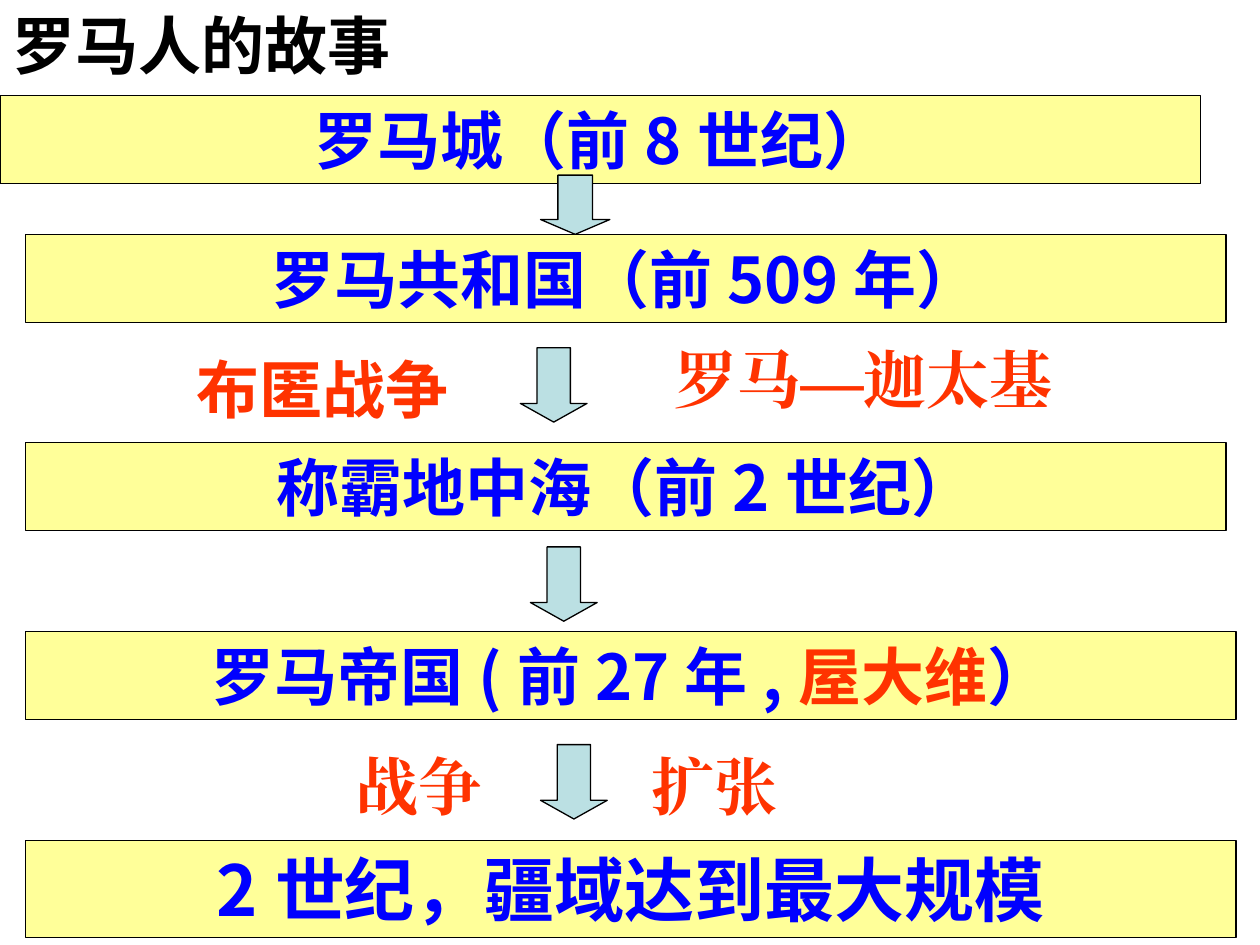
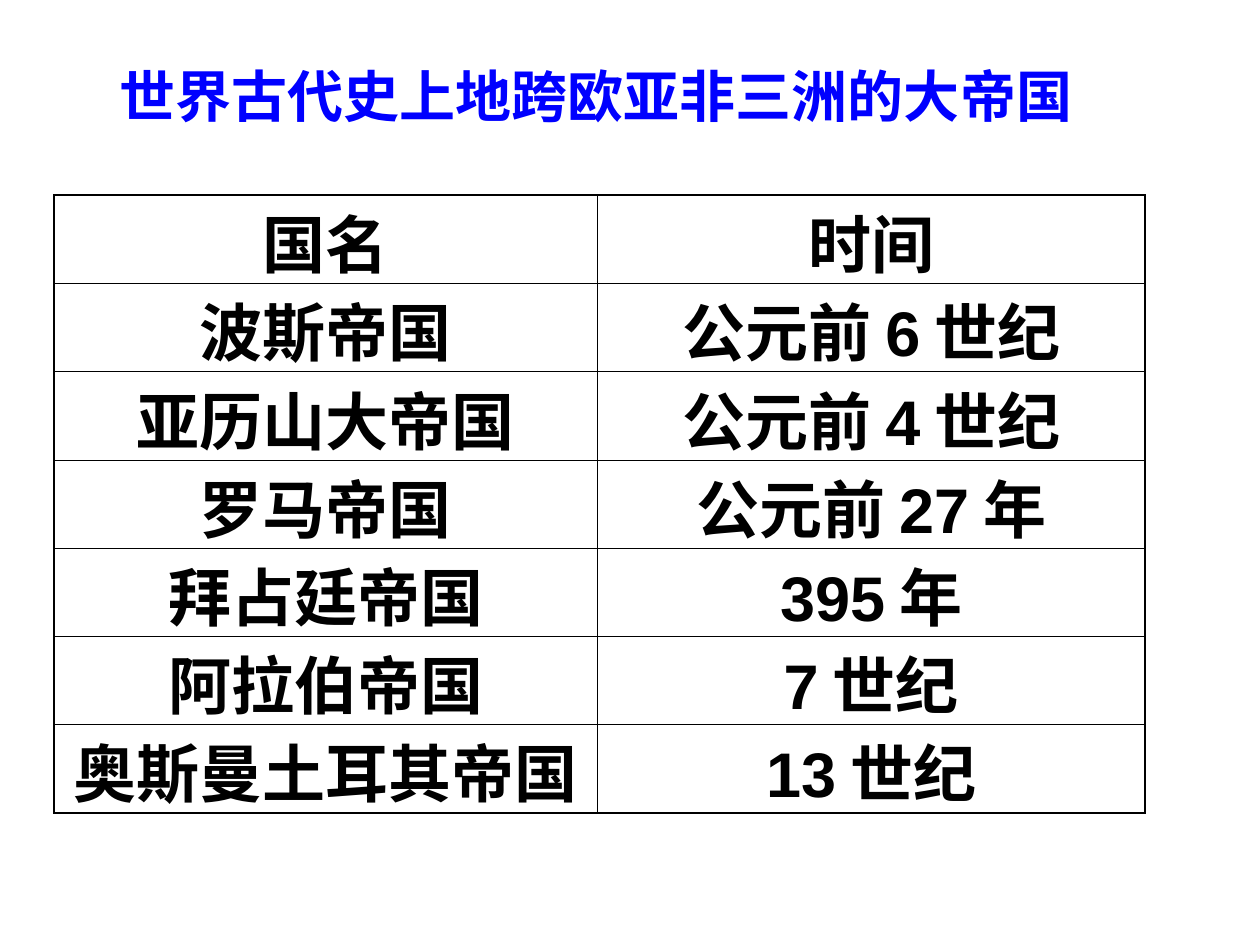
from lxml import etree
from pptx import Presentation
from pptx.dml.color import RGBColor
from pptx.enum.lang import MSO_LANGUAGE_ID as LANG
from pptx.enum.shapes import MSO_SHAPE as SHAPE
from pptx.enum.text import MSO_ANCHOR as ANCHOR, MSO_AUTO_SIZE as AUTO, PP_ALIGN as ALIGN
from pptx.oxml.ns import qn
from pptx.util import Inches, Pt

BLACK = RGBColor(0x00, 0x00, 0x00)
BLUE = RGBColor(0x00, 0x00, 0xFF)
RED = RGBColor(0xFF, 0x33, 0x00)
YELLOW = RGBColor(0xFF, 0xFF, 0x99)
PALE_TEAL = RGBColor(0xBB, 0xE0, 0xE3)
ARIAL, TIMES, NOTO = "Arial", "Times New Roman", "Noto Sans CJK SC"

COLUMNS, ROWS = 100, 75
THICK, THIN = 1.08, 0.45


class Deck:
    """Holds the shared style and the slide being built, on a 100 x 75 grid."""

    def __init__(self):
        self.prs = Presentation()
        self.prs.slide_width, self.prs.slide_height = Inches(10), Inches(7.5)
        self.slide = None

    def across(self, columns):
        return round(self.prs.slide_width * columns / COLUMNS)

    def down(self, rows):
        return round(self.prs.slide_height * rows / ROWS)

    def box(self, left, top, width, height):
        return self.across(left), self.down(top), self.across(width), self.down(height)

    def add_words(self, frame, parts, size, font, align=ALIGN.CENTER):
        """Fill a text frame with one paragraph of (text, colour) parts."""
        paragraph = frame.paragraphs[0]
        paragraph.alignment = align
        for text, color in parts:
            run = paragraph.add_run()
            run.text = text
            run.font.size, run.font.bold, run.font.name = Pt(size), True, font
            run.font.color.rgb = color
            run.font.language_id = LANG.SIMPLIFIED_CHINESE
            latin = run.font._element.find(qn("a:latin"))
            east_asian = etree.Element(qn("a:ea"), typeface=font)
            latin.addnext(east_asian)

    def title_slide(self, text, place, size, color, wrap=True):
        self.slide = self.prs.slides.add_slide(self.prs.slide_layouts[5])
        title = self.slide.shapes.title
        title.left, title.top, title.width, title.height = self.box(*place)
        frame = title.text_frame
        frame.auto_size, frame.word_wrap = AUTO.NONE, wrap
        frame.vertical_anchor = ANCHOR.TOP
        self.add_words(frame, [(text, color)], size, ARIAL, ALIGN.LEFT)

    def label(self, text, place, font=TIMES, align=ALIGN.CENTER):
        frame = self.slide.shapes.add_textbox(*self.box(*place)).text_frame
        frame.word_wrap = True
        self.add_words(frame, [(text, RED)], 36, font, align)

    def outlined(self, kind, place, fill):
        shape = self.slide.shapes.add_shape(kind, *self.box(*place))
        shape.shadow.inherit = False
        shape.fill.solid()
        shape.fill.fore_color.rgb = fill
        shape.line.color.rgb, shape.line.width = BLACK, Pt(0.75)
        return shape

    def stage(self, parts, place, size=36):
        frame = self.outlined(SHAPE.RECTANGLE, place, YELLOW).text_frame
        frame.word_wrap, frame.vertical_anchor = True, ANCHOR.TOP
        self.add_words(frame, parts, size, NOTO)

    def arrow(self, place, head):
        shape = self.outlined(SHAPE.DOWN_ARROW, place, PALE_TEAL)
        shape.adjustments[0], shape.adjustments[1] = 0.5, head

    def border(self, cell, side, width):
        line = etree.SubElement(cell._tc.get_or_add_tcPr(), qn(f"a:ln{side}"), w=str(Pt(width)))
        fill = etree.SubElement(line, qn("a:solidFill"))
        etree.SubElement(fill, qn("a:srgbClr"), val=str(BLACK))

    def table(self, records, left, top, widths, row_height):
        last_row, last_col = len(records) - 1, len(widths) - 1
        place = self.box(left, top, sum(widths), row_height * len(records))
        grid = self.slide.shapes.add_table(len(records), len(widths), *place).table
        grid.first_row = grid.horz_banding = False
        for column, width in zip(grid.columns, widths):
            column.width = self.across(width)
        for r, record in enumerate(records):
            grid.rows[r].height = self.down(row_height)
            for c, text in enumerate(record):
                cell = grid.cell(r, c)
                cell.margin_top, cell.margin_bottom = Inches(0.13), 0
                self.add_words(cell.text_frame, [(text, BLACK)], 36, ARIAL)
                outer = {"L": c == 0, "R": c == last_col, "T": r == 0, "B": r == last_row}
                for side, is_outer in outer.items():
                    self.border(cell, side, THICK if is_outer else THIN)
                cell.fill.background()


def build_roman_story(deck):
    deck.title_slide("罗马人的故事", (0, 0, 39, 7), 36, BLACK)

    # Stages of Rome, from city to greatest extent
    deck.stage([("罗马城（前8世纪）", BLUE)], (0, 7.6, 95.3, 7))
    deck.stage([("罗马共和国（前509年）", BLUE)], (2, 18.6, 95.3, 7))
    deck.stage([("称霸地中海（前2世纪）", BLUE)], (2, 35.1, 95.3, 7))
    deck.stage([("罗马帝国(前27年,", BLUE), ("屋大维", RED), ("）", BLUE)], (2, 50.1, 96.1, 7))
    deck.stage([("2世纪，疆域达到最大规模", BLUE)], (2, 66.7, 96.1, 7.7), 40)

    # Steps between the stages
    deck.arrow((42.9, 13.9, 5.5, 4.7), 0.25)
    for left, top in ((41.3, 27.6), (42.1, 43.4), (42.9, 59.1)):
        deck.arrow((left, top, 5.3, 5.9), 0.28)

    # What drove each step
    deck.label("布匿战争", (14.6, 27.3, 29.2, 7), ARIAL, ALIGN.LEFT)
    deck.label("罗马—迦太基", (49.2, 26.5, 38.7, 7))
    for cause, left in (("战争", 26.2), ("扩张", 49.7)):
        deck.label(cause, (left, 58.8, 14, 7))


def build_empires(deck):
    deck.title_slide("世界古代史上地跨欧亚非三洲的大帝国", (8.5, 4.4, 78.6, 6.4), 32, BLUE, wrap=False)

    # Empires and when each arose
    empires = [
        ("国名", "时间"),
        ("波斯帝国", "公元前6世纪"),
        ("亚历山大帝国", "公元前4世纪"),
        ("罗马帝国", "公元前27年"),
        ("拜占廷帝国", "395年"),
        ("阿拉伯帝国", "7世纪"),
        ("奥斯曼土耳其帝国", "13世纪"),
    ]
    deck.table(empires, 4.3, 15.5, (43.1, 43.5), 7)


def main():
    deck = Deck()
    build_roman_story(deck)
    build_empires(deck)
    deck.prs.save("out.pptx")


if __name__ == "__main__":
    main()
